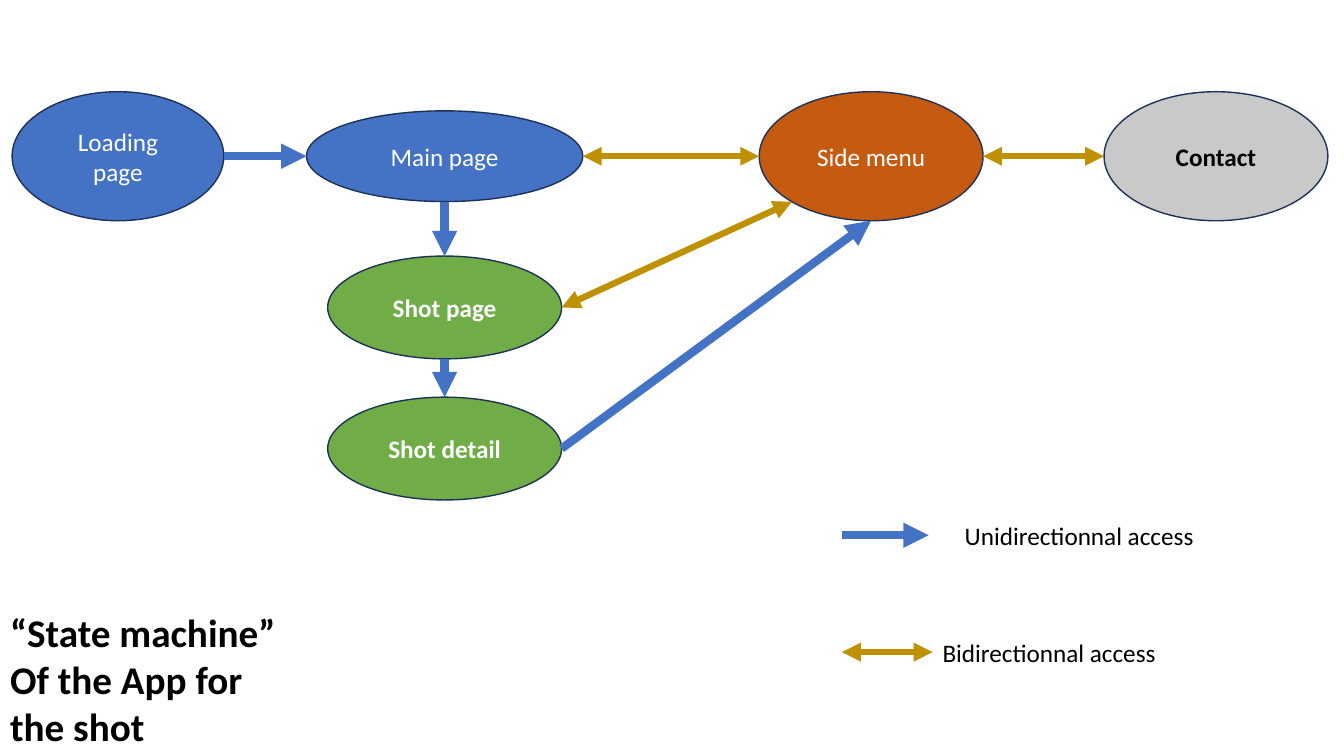
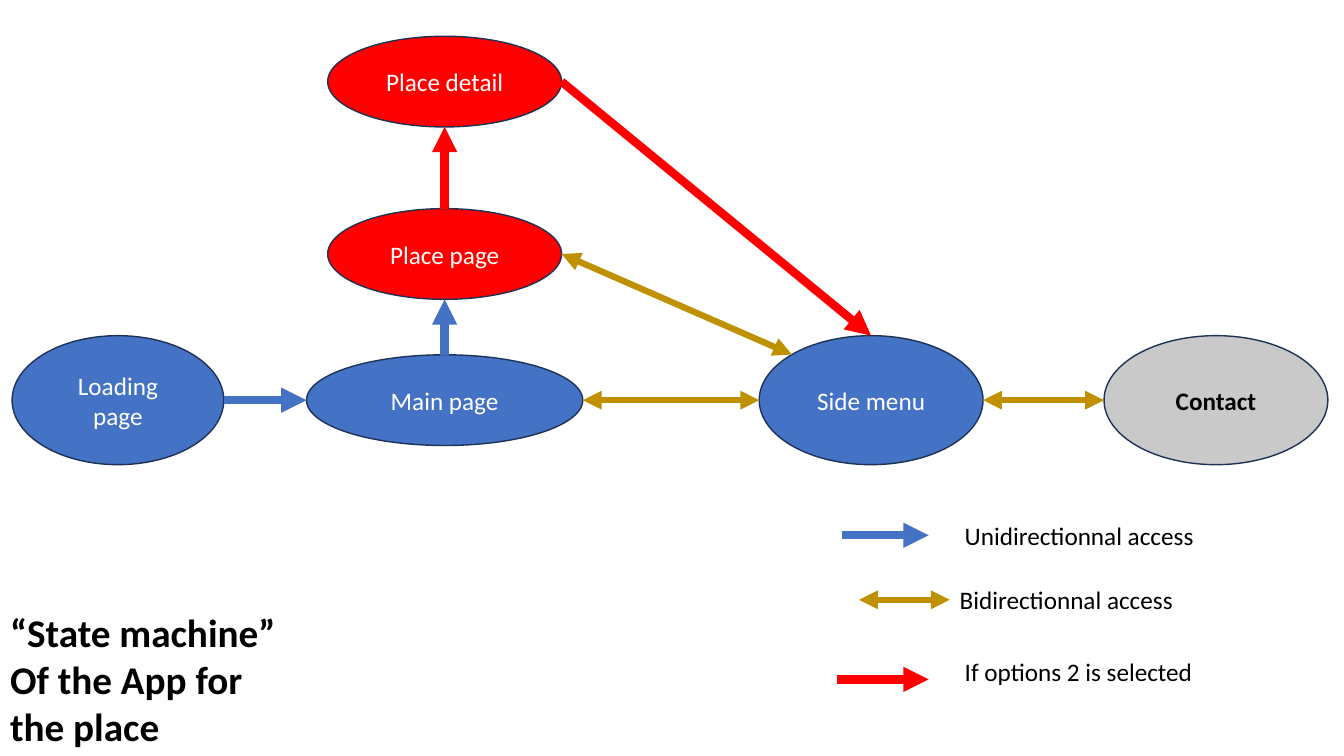
from lxml.etree import SubElement
from pptx import Presentation
from pptx.dml.color import RGBColor
from pptx.enum.shapes import MSO_CONNECTOR, MSO_SHAPE
from pptx.enum.text import MSO_ANCHOR, MSO_AUTO_SIZE, PP_ALIGN
from pptx.oxml.ns import qn
from pptx.util import Emu, Pt

SCALE = 9144  # EMU per px, 100 px to the inch
FONT = "Calibri"
COLOURS = {
    "blue": "4472C4", "green": "70AD47", "orange": "C55A11", "red": "FF0000",
    "grey": "C9C9C9", "gold": "BF9000", "outline": "1E3256",
    "white": "FFFFFF", "black": "000000",
}
# Access kind: colour, width in points, arrowheads
ACCESS = {
    "one-way": ("blue", 6, ("tailEnd",)),
    "two-way": ("gold", 4.5, ("headEnd", "tailEnd")),
    "optional": ("red", 6, ("tailEnd",)),
}
DIAGONAL = 0.5 ** 0.5
# Ellipse site: connection index, direction from the centre
SITES = {
    "top": (0, 0, -1), "top left": (1, -DIAGONAL, -DIAGONAL),
    "left": (2, -1, 0), "bottom left": (3, -DIAGONAL, DIAGONAL),
    "bottom": (4, 0, 1), "right": (6, 1, 0),
}
COLUMN = 441  # centre of the main page and of the pages above or below it


def px(length):
    return Emu(round(length * SCALE))


def colour(name):
    return RGBColor.from_string(COLOURS[name])


def site_point(state, site):
    """Return the EMU position of a connection site on an ellipse."""
    _, dx, dy = SITES[site]
    return (Emu(round(state.left + state.width * (1 + dx) / 2)),
            Emu(round(state.top + state.height * (1 + dy) / 2)))


class StateDiagram:
    """Holds the presentation, its style and the current slide."""

    def __init__(self):
        self.deck = Presentation()
        self.deck.slide_width, self.deck.slide_height = px(1333), px(750)
        self.slide = None

    def set_text(self, frame, text, size=18, ink="black", bold=False, align=PP_ALIGN.LEFT):
        frame.text = text
        for paragraph in frame.paragraphs:
            paragraph.alignment = align
            paragraph.line_spacing = 1.0
            font = paragraph.font
            font.name, font.size, font.bold = FONT, Pt(size), bold
            font.color.rgb = colour(ink)

    def new_slide(self, title):
        self.slide = self.deck.slides.add_slide(self.deck.slide_layouts[5])
        heading = self.slide.shapes.title
        heading.left, heading.top = px(0), px(598)
        heading.width, heading.height = px(300), px(151)
        frame = heading.text_frame
        frame.word_wrap = True
        frame.auto_size = MSO_AUTO_SIZE.NONE
        frame.vertical_anchor = MSO_ANCHOR.TOP
        self.set_text(frame, title, size=28, bold=True)

    def state(self, name, centre_x, centre_y, width, height, fill, ink="white", bold=False):
        ellipse = self.slide.shapes.add_shape(
            MSO_SHAPE.OVAL, px(centre_x - width / 2), px(centre_y - height / 2),
            px(width), px(height))
        ellipse.shadow.inherit = False
        ellipse.fill.solid()
        ellipse.fill.fore_color.rgb = colour(fill)
        ellipse.line.color.rgb = colour("outline")
        ellipse.line.width = Pt(1)
        ellipse.text_frame.vertical_anchor = MSO_ANCHOR.MIDDLE
        self.set_text(ellipse.text_frame, name, ink=ink, bold=bold, align=PP_ALIGN.CENTER)
        return ellipse

    def arrow(self, start, end, kind):
        ink, width, heads = ACCESS[kind]
        connector = self.slide.shapes.add_connector(MSO_CONNECTOR.STRAIGHT, *start, *end)
        connector.line.color.rgb = colour(ink)
        connector.line.width = Pt(width)
        properties = connector._element.spPr
        for head in heads:
            SubElement(properties.find(qn("a:ln")), qn(f"a:{head}"), type="triangle")
        SubElement(properties, qn("a:effectLst"))
        return connector

    def access(self, source, source_site, target, target_site, kind="one-way"):
        """Join two states; an ellipse has eight sites, so index and ends are set after joining."""
        start, end = site_point(source, source_site), site_point(target, target_site)
        connector = self.arrow(start, end, kind)
        connector.begin_connect(source, 0)
        connector.end_connect(target, 0)
        for tag, site in (("a:stCxn", source_site), ("a:endCxn", target_site)):
            joint = next(connector._element.iter(qn(tag)))
            joint.set("idx", str(SITES[site][0]))
        connector.begin_x, connector.begin_y = start
        connector.end_x, connector.end_y = end

    def main_row(self, centre_y, menu_fill):
        """Draw the row of states that both diagrams share; return main page and side menu."""
        loading = self.state("Loading page", 117, centre_y, 210, 128, "blue")
        main_page = self.state("Main page", COLUMN, centre_y, 274, 90, "blue")
        menu = self.state("Side menu", 864, centre_y, 222, 128, menu_fill)
        contact = self.state("Contact", 1206, centre_y, 222, 128, "grey", "black", True)
        self.access(loading, "right", main_page, "left")
        self.access(main_page, "right", menu, "left", "two-way")
        self.access(menu, "right", contact, "left", "two-way")
        return main_page, menu

    def legend(self, label, kind, arrow_left, arrow_right, arrow_y, text_left, text_top):
        self.arrow((px(arrow_left), px(arrow_y)), (px(arrow_right), px(arrow_y)), kind)
        box = self.slide.shapes.add_textbox(px(text_left), px(text_top), px(250), px(40))
        box.text_frame.word_wrap = True
        self.set_text(box.text_frame, label)

    def access_legend(self, two_way_left, two_way_y):
        self.legend("Unidirectionnal access", "one-way", 835, 921, 531, 947, 511)
        two_way_right = two_way_left + 90
        self.legend("Bidirectionnal access", "two-way", two_way_left, two_way_right,
                    two_way_y, two_way_right, two_way_y - 20)


def shot_slide(diagram):
    diagram.new_slide("“State machine”\nOf the App for the shot")
    main_page, menu = diagram.main_row(155, "orange")
    page, detail = [
        diagram.state(name, COLUMN, centre_y, 232, 102, "green", bold=True)
        for name, centre_y in (("Shot page", 305), ("Shot detail", 445))]
    diagram.access(main_page, "bottom", page, "top")
    diagram.access(page, "bottom", detail, "top")
    diagram.access(page, "right", menu, "bottom left", "two-way")
    diagram.access(detail, "right", menu, "bottom")
    diagram.access_legend(835, 647)


def place_slide(diagram):
    diagram.new_slide("“State machine”\nOf the App for the place")
    main_page, menu = diagram.main_row(397, "blue")
    page, detail = [
        diagram.state(name, COLUMN, centre_y, 232, 90, "red")
        for name, centre_y in (("Place page", 252), ("Place detail", 81))]
    diagram.access(main_page, "top", page, "bottom")
    diagram.access(page, "top", detail, "bottom", "optional")
    diagram.access(page, "right", menu, "top left", "two-way")
    diagram.access(detail, "right", menu, "top", "optional")
    diagram.access_legend(852, 595)
    diagram.legend("If options 2 is selected", "optional", 830, 921, 674, 947, 646)


def main():
    diagram = StateDiagram()
    shot_slide(diagram)
    place_slide(diagram)
    diagram.deck.save("out.pptx")


if __name__ == "__main__":
    main()
